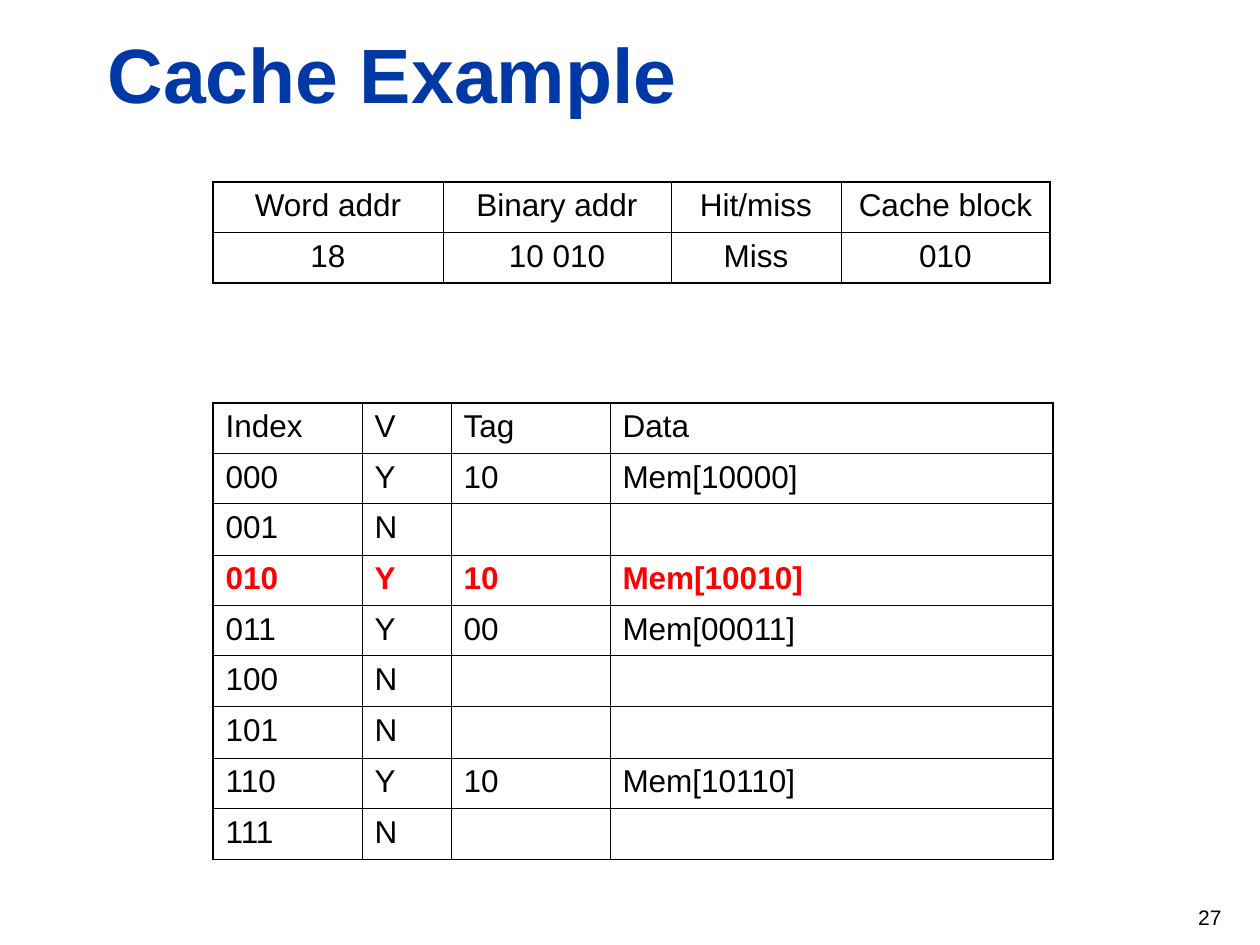
import pptx
import pptx.util
import pptx.dml.color
import pptx.enum.text
import pptx.oxml
import pptx.oxml.ns

PX = 914400 // 126
ALIGN = pptx.enum.text.PP_ALIGN
ANCHOR = pptx.enum.text.MSO_ANCHOR


def color(value):
    return pptx.dml.color.RGBColor.from_string(value)


def write(tf, text, size=18, fill="000000", bold=False, align=ALIGN.LEFT, before=0):
    p = tf.paragraphs[0]
    p.alignment = align
    p.space_before = pptx.util.Pt(before)
    r = p.add_run()
    r.text = text
    r.font.name = "Arial"
    r.font.size = pptx.util.Pt(size)
    r.font.bold = bold
    r.font.color.rgb = color(fill)


prs = pptx.Presentation()
prs.slide_width = pptx.util.Inches(10)
prs.slide_height = pptx.util.Inches(7.5)
s = prs.slides.add_slide(prs.slide_layouts[5])

title = s.shapes.title
title.left, title.top, title.width, title.height = [v * PX for v in (95, 20, 1138, 105)]
title.text_frame.vertical_anchor = ANCHOR.BOTTOM
write(title.text_frame, "Cache Example", size=44, fill="0039A6", bold=True)

cache_rows = [
    ("Index", "V", "Tag", "Data"),
    ("000", "Y", "10", "Mem[10000]"),
    ("001", "N", "", ""),
    ("010", "Y", "10", "Mem[10010]"),
    ("011", "Y", "00", "Mem[00011]"),
    ("100", "N", "", ""),
    ("101", "N", "", ""),
    ("110", "Y", "10", "Mem[10110]"),
    ("111", "N", "", ""),
]
access_rows = [
    ("Word addr", "Binary addr", "Hit/miss", "Cache block"),
    ("18", "10 010", "Miss", "010"),
]
tables = [
    (cache_rows, 403, 454, (149, 89, 159, 443), ALIGN.LEFT, 3),
    (access_rows, 182, 101, (230, 228, 170, 209), ALIGN.CENTER, None),
]

for rows, top, height, widths, align, changed in tables:
    frame = s.shapes.add_table(
        len(rows), len(widths), 213 * PX, top * PX, sum(widths) * PX, height * PX
    )
    table = frame.table
    table.first_row = False
    table.horz_banding = False
    for column, width in zip(table.columns, widths):
        column.width = width * PX
    last_row, last_col = len(rows) - 1, len(widths) - 1
    for i, row in enumerate(rows):
        for j, text in enumerate(row):
            cell = table.cell(i, j)
            if text:
                hot = i == changed
                write(cell.text_frame, text, fill="FF0000" if hot else "000000",
                      bold=hot, align=align, before=4.5)
            borders = {
                "lnL": 1.08 if j == 0 else 0.45,
                "lnR": 1.08 if j == last_col else 0.45,
                "lnT": 1.08 if i == 0 else 0.75 if i == 1 else 0.45,
                "lnB": 1.08 if i == last_row else 0.75 if i == 0 else 0.45,
            }
            tcPr = cell._tc.get_or_add_tcPr()
            for side, width in borders.items():
                tcPr.append(pptx.oxml.parse_xml(
                    f'<a:{side} {pptx.oxml.ns.nsdecls("a")} w="{pptx.util.Pt(width)}">'
                    f'<a:solidFill><a:srgbClr val="000000"/></a:solidFill></a:{side}>'
                ))
            cell.fill.background()

number = s.shapes.add_textbox(950 * PX, 892 * PX, 284 * PX, 50 * PX)
number.text_frame.word_wrap = True
number.text_frame.vertical_anchor = ANCHOR.MIDDLE
write(number.text_frame, "27", size=12, align=ALIGN.RIGHT)

prs.save("out.pptx")
